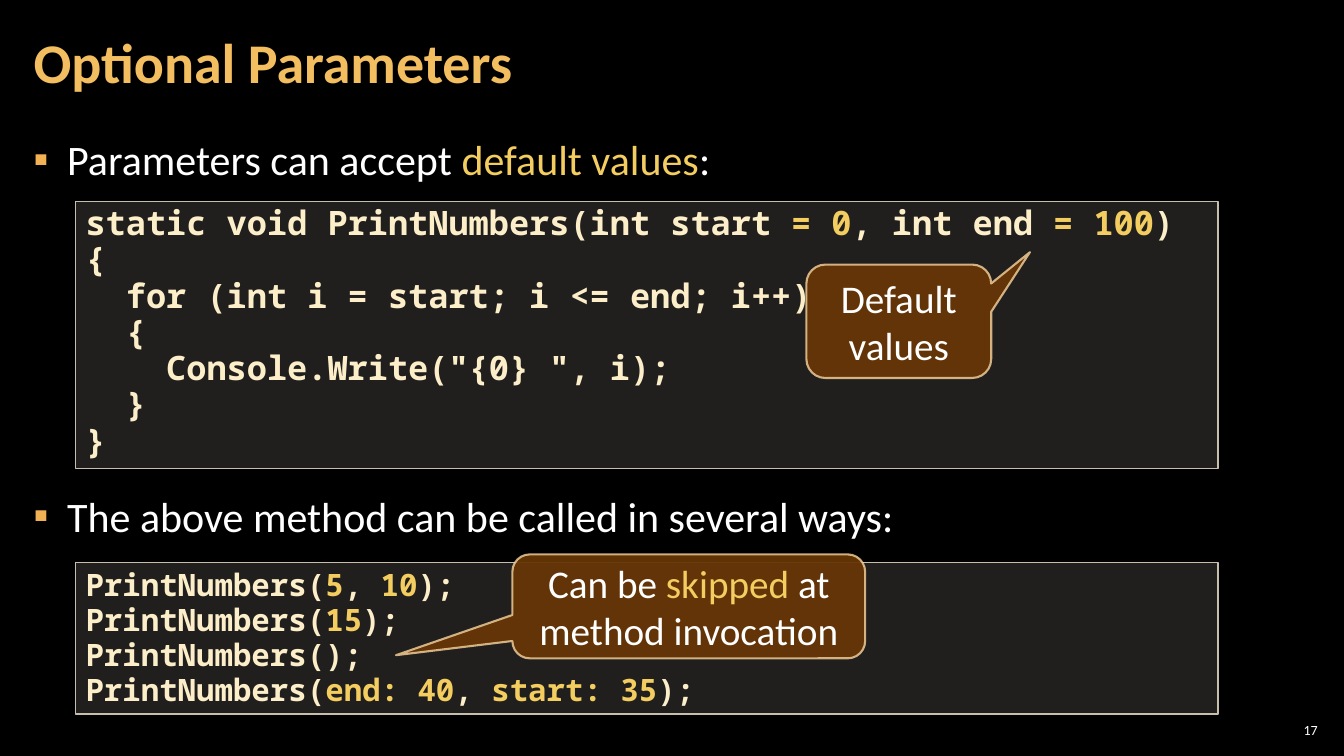
import pptx
import pptx.util
import pptx.dml.color
import pptx.enum.shapes
import pptx.enum.text
import pptx.oxml.ns
import lxml.etree

SHAPE = pptx.enum.shapes.MSO_SHAPE
ANCHOR = pptx.enum.text.MSO_ANCHOR
ALIGN = pptx.enum.text.PP_ALIGN
FIT = pptx.enum.text.MSO_AUTO_SIZE
Pt = pptx.util.Pt
qn = pptx.oxml.ns.qn


def px(num):
    return pptx.util.Emu(num * 9525)


def tint(code):
    return pptx.dml.color.RGBColor.from_string(code)


def write(frame, text, size=30, font="Calibri", color="FFFFFF", accent="F3CD60",
          bold=False, align=ALIGN.LEFT, space=1.0, gaps=(0,), after=0, mark=None):
    for row, line in enumerate(text.split("\n")):
        para = frame.add_paragraph() if row else frame.paragraphs[0]
        if mark:
            bullet(para, mark)
        para.alignment = align
        para.line_spacing = space
        para.space_before = Pt(gaps[min(row, len(gaps) - 1)])
        para.space_after = Pt(after)
        for turn, part in enumerate(line.split("|")):
            if part:
                run = para.add_run()
                run.text = part
                run.font.size = Pt(size)
                run.font.name = font
                run.font.bold = bold
                run.font.color.rgb = tint(accent if turn % 2 else color)


def bullet(para, color):
    props = para._p.get_or_add_pPr()
    props.set("marL", str(px(32)))
    props.set("indent", str(px(-32)))
    hue = lxml.etree.SubElement(props, qn("a:buClr"))
    lxml.etree.SubElement(hue, qn("a:srgbClr"), val=color)
    lxml.etree.SubElement(props, qn("a:buFont"), typeface="Calibri")
    lxml.etree.SubElement(props, qn("a:buChar"), char="▪")


class Deck:
    mono = "Noto Sans Mono"
    cream = "FBEEC9"
    gold = "F2B254"

    def __init__(self):
        self.show = pptx.Presentation()
        self.show.slide_width = px(1280)
        self.show.slide_height = px(720)
        self.slide = self.show.slides.add_slide(self.show.slide_layouts[6])
        fill = self.slide.background.fill
        fill.solid()
        fill.fore_color.rgb = tint("000000")

    def label(self, box, text, side=12, anchor=ANCHOR.TOP, **style):
        frame = self.slide.shapes.add_textbox(*map(px, box)).text_frame
        frame.word_wrap = True
        frame.vertical_anchor = anchor
        frame.margin_left = frame.margin_right = px(side)
        frame.margin_top = frame.margin_bottom = px(4)
        write(frame, text, **style)

    def block(self, kind, box, fill, line, width, alphas):
        shape = self.slide.shapes.add_shape(kind, *map(px, box))
        shape.shadow.inherit = False
        shape.fill.solid()
        shape.fill.fore_color.rgb = tint(fill)
        shape.line.color.rgb = tint(line)
        shape.line.width = Pt(width)
        hues = list(shape._element.spPr.iter(qn("a:srgbClr")))
        for hue, alpha in zip(hues, alphas):
            lxml.etree.SubElement(hue, qn("a:alpha"), val=str(alpha * 1000))
        shape.text_frame.word_wrap = True
        return shape

    def code(self, box, text, **style):
        shape = self.block(SHAPE.RECTANGLE, box, "D9D5C7", "C7BFAC", 1, (15, 100))
        frame = shape.text_frame
        frame.vertical_anchor = ANCHOR.TOP
        frame.auto_size = FIT.SHAPE_TO_FIT_TEXT
        write(frame, text, font=self.mono, color=self.cream, bold=True, **style)

    def callout(self, box, tip, text):
        shape = self.block(SHAPE.ROUNDED_RECTANGULAR_CALLOUT, box,
                           "663606", "F8D49E", 1.5, (95, 80))
        for spot, value in enumerate((*tip, 0.167)):
            shape.adjustments[spot] = value
        shape.text_frame.vertical_anchor = ANCHOR.MIDDLE
        write(shape.text_frame, text, size=28, align=ALIGN.CENTER)


LOOP = """static void PrintNumbers(int start |= 0|, int end |= 100|)
{
  for (int i = start; i <= end; i++)
  {
    Console.Write("{0} ", i);
  }
}"""

CALLS = """PrintNumbers(|5|, |10|);
PrintNumbers(|15|);
PrintNumbers();
PrintNumbers(|end: 40|, |start: 35|);"""

POINTS = """Parameters can accept |default values|:
The above method can be called in several ways:"""


def main():
    deck = Deck()
    deck.label((20, 121, 1239, 585), POINTS, space=1.05, gaps=(0, 211),
               after=6, mark=deck.gold)
    deck.label((20, 4, 1005, 116), "Optional Parameters", anchor=ANCHOR.MIDDLE,
               size=40, color="F3BE60", bold=True, space=0.9)
    deck.code((72, 192, 1088, 254), LOOP, size=24, space=0.9)
    deck.code((72, 536, 1088, 144), CALLS, size=22, space=Pt(25))
    deck.callout((768, 252, 176, 108), (0.71, -0.61), "Default values")
    deck.callout((488, 528, 336, 99), (-0.83, 0.47),
                 "Can be |skipped| at method invocation")
    deck.label((1214, 685, 45, 20), "17", side=4, anchor=ANCHOR.MIDDLE,
               size=10, align=ALIGN.RIGHT)
    deck.show.save("out.pptx")


if __name__ == "__main__":
    main()
